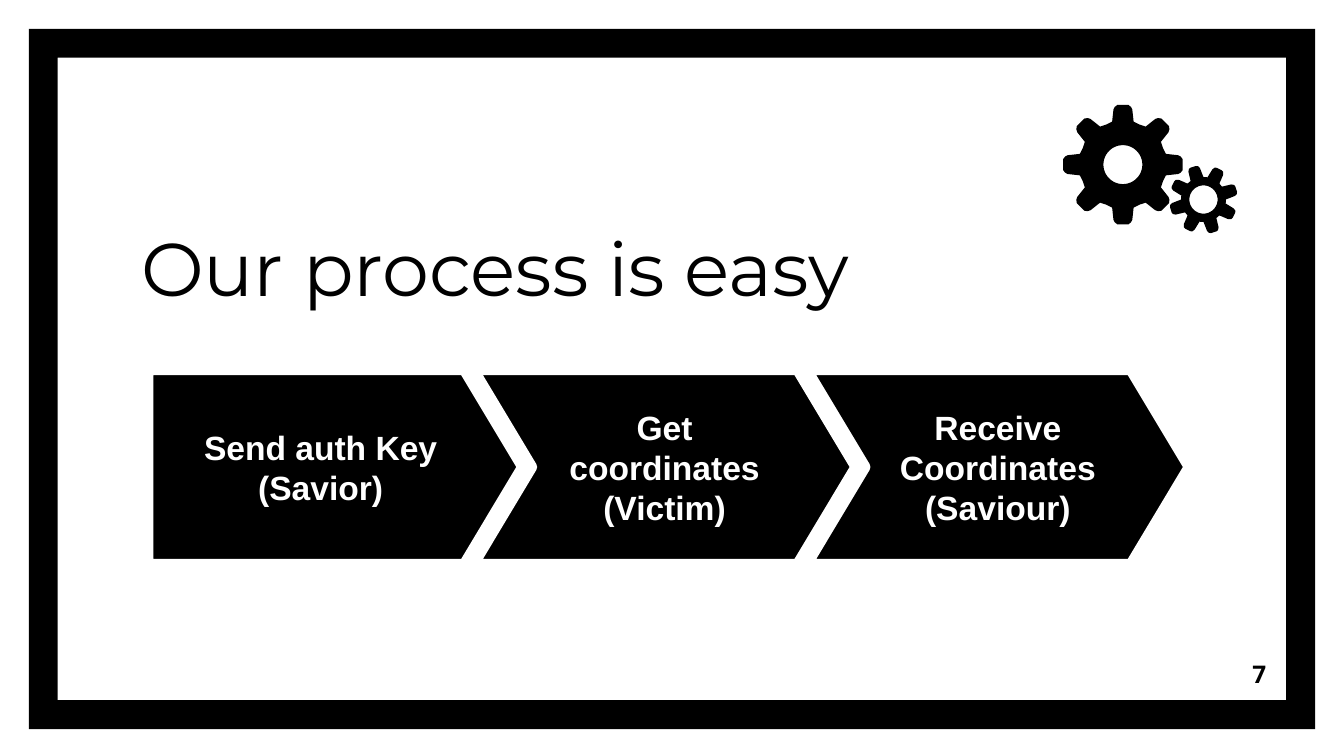
from math import cos, pi, sin
from typing import NamedTuple

from pptx import Presentation
from pptx.dml.color import RGBColor
from pptx.enum.shapes import MSO_SHAPE as Preset
from pptx.enum.text import MSO_ANCHOR as Anchor, MSO_AUTO_SIZE as AutoSize, PP_ALIGN as Align
from pptx.shapes.autoshape import Shape
from pptx.slide import Slide
from pptx.text.text import TextFrame
from pptx.util import Inches, Pt

BLACK = RGBColor(0x00, 0x00, 0x00)
WHITE = RGBColor(0xFF, 0xFF, 0xFF)
TEETH = 8
STEP_TOP, STEP_HEIGHT = 2.75, 1.45


class Step(NamedTuple):
    preset: Preset
    left: float
    width: float
    lines: list[str]


class Gear(NamedTuple):
    center: tuple[float, float]
    turn: float  # degrees, clockwise from the top
    hole: float  # radius
    half_tooth: list[tuple[float, float]]  # (half width, distance from center), base to tip


STEPS = [
    Step(Preset.PENTAGON, 1.1, 2.79, ["Send auth Key", "(Savior)"]),
    Step(Preset.CHEVRON, 3.52, 2.85, ["Get coordinates", "(Victim)"]),
    Step(Preset.CHEVRON, 6, 2.85, ["Receive Coordinates", "(Saviour)"]),
]
GEARS = [
    Gear((8.355, 1.225), 0, 0.145,
         [(0.12, 0.3), (0.08, 0.32), (0.07, 0.41), (0.06, 0.43), (0.04, 0.445)]),
    Gear((8.955, 1.485), 27.5, 0.105,
         [(0.05, 0.16), (0.045, 0.23), (0.035, 0.25), (0.02, 0.255)]),
]


def paint(shape: Shape) -> None:
    shape.shadow.inherit = False
    shape.fill.solid()
    shape.fill.fore_color.rgb = BLACK
    shape.line.fill.background()


def write(frame: TextFrame, lines: list[str], font: str, size: float, color: RGBColor,
          bold: bool, align: Align, anchor: Anchor) -> None:
    frame.word_wrap = True
    frame.auto_size = AutoSize.NONE
    frame.vertical_anchor = anchor
    frame.margin_left = frame.margin_right = Inches(0.1)
    frame.margin_top = frame.margin_bottom = Inches(0.1)
    frame.text = "\n".join(lines)
    for para in frame.paragraphs:
        para.alignment = align
        para.font.name = font
        para.font.size = Pt(size)
        para.font.bold = bold
        para.font.color.rgb = color


def add_border(page: Slide) -> None:
    border = page.shapes.add_shape(
        Preset.FRAME, Inches(0.215), Inches(0.215), Inches(9.57), Inches(5.21))
    border.adjustments[0] = 0.215 / 5.21
    paint(border)


def add_step(page: Slide, step: Step) -> None:
    arrow = page.shapes.add_shape(step.preset, Inches(step.left), Inches(STEP_TOP),
                                  Inches(step.width), Inches(STEP_HEIGHT))
    arrow.adjustments[0] = 0.3
    paint(arrow)
    arrow.line.color.rgb = WHITE
    arrow.line.width = Pt(6)
    write(arrow.text_frame, step.lines, "Arial", 18, WHITE, True, Align.CENTER, Anchor.MIDDLE)


def add_gear(page: Slide, gear: Gear) -> None:
    """Draw one outline: the same tooth turned around the center, then the hole."""
    def place(x: float, y: float, angle: float) -> tuple[int, int]:
        return (Inches(gear.center[0] + x * cos(angle) + y * sin(angle)),
                Inches(gear.center[1] + x * sin(angle) - y * cos(angle)))

    rising = [(-x, y) for x, y in gear.half_tooth]
    tooth = rising + gear.half_tooth[::-1]
    angles = [gear.turn * pi / 180 + 2 * pi * i / TEETH for i in range(TEETH)]
    rim = [place(x, y, angle) for angle in angles for x, y in tooth]
    hole = [place(0, gear.hole, -2 * pi * i / 48) for i in range(48)]

    builder = page.shapes.build_freeform(*rim[0], scale=1.0)
    builder.add_line_segments(rim[1:], close=True)
    builder.move_to(*hole[0])
    builder.add_line_segments(hole[1:], close=True)
    paint(builder.convert_to_shape())


def main() -> None:
    deck = Presentation()
    deck.slide_width = Inches(10)
    deck.slide_height = deck.slide_width * 9 // 16
    page = deck.slides.add_slide(deck.slide_layouts[5])
    add_border(page)

    title = page.shapes.title
    title.left, title.top = Inches(0.95), Inches(0.93)
    title.width, title.height = Inches(6.31), Inches(1.49)
    write(title.text_frame, ["Our process is easy"], "Montserrat", 40, BLACK, False,
          Align.LEFT, Anchor.BOTTOM)

    for step in STEPS:
        add_step(page, step)
    for gear in GEARS:
        add_gear(page, gear)

    number = page.shapes.add_textbox(Inches(8.92), Inches(4.8), Inches(0.6), Inches(0.43))
    write(number.text_frame, ["7"], "Noto Sans", 13, BLACK, True, Align.RIGHT, Anchor.MIDDLE)
    deck.save("out.pptx")


if __name__ == "__main__":
    main()
